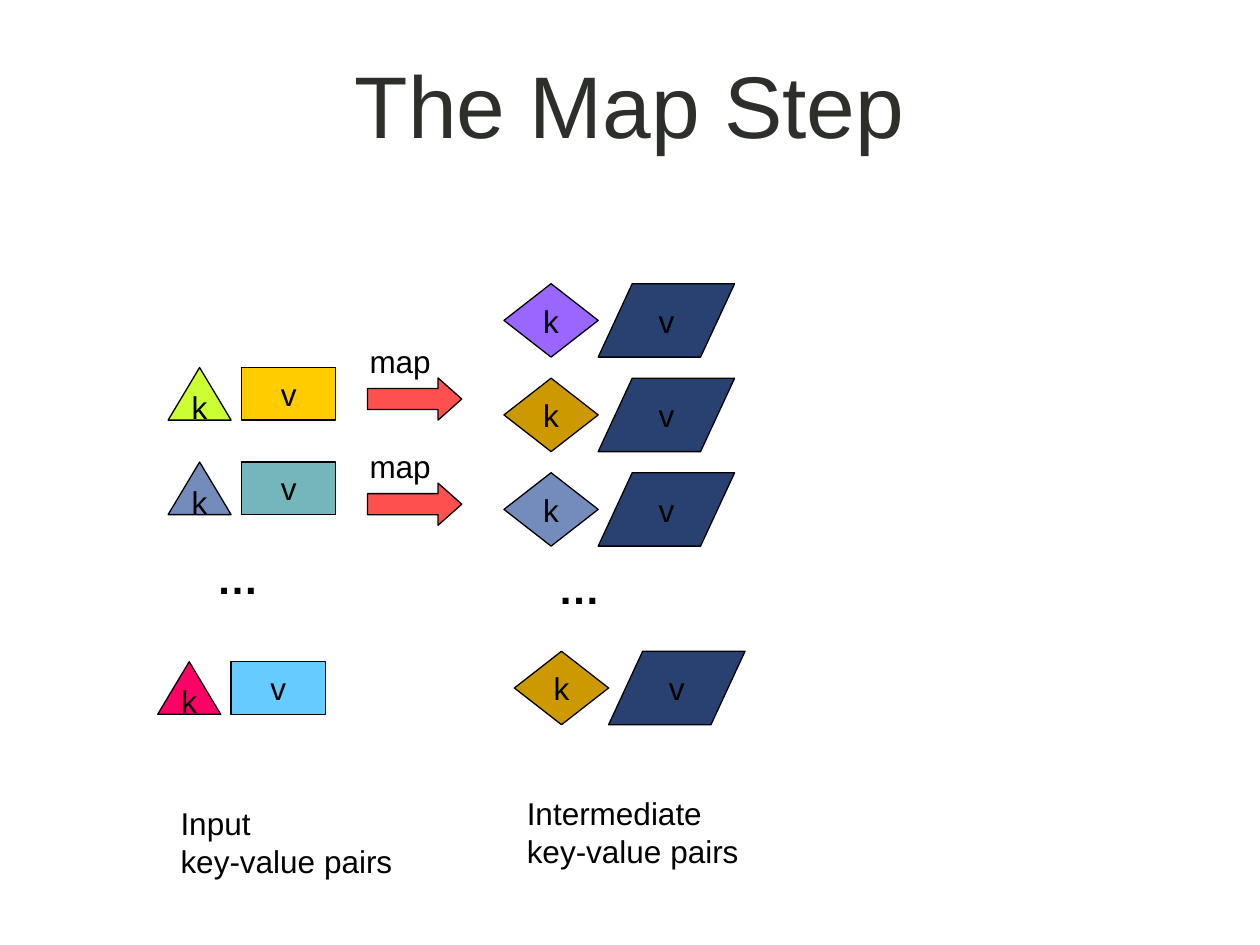
from pptx import Presentation
from pptx.dml.color import RGBColor
from pptx.enum.shapes import MSO_SHAPE as Kind
from pptx.enum.text import MSO_ANCHOR as Anchor, PP_ALIGN as Align
from pptx.util import Cm, Pt

BLACK = RGBColor(0x00, 0x00, 0x00)
INK = RGBColor(0x2D, 0x2F, 0x2B)
TEAL = RGBColor(0x74, 0xB6, 0xBC)
STEEL = RGBColor(0x74, 0x8C, 0xBC)
NAVY = RGBColor(0x29, 0x41, 0x71)
PURPLE = RGBColor(0x99, 0x66, 0xFF)
OCHRE = RGBColor(0xCC, 0x99, 0x00)
RED = RGBColor(0xFF, 0x50, 0x50)
GOLD = RGBColor(0xFF, 0xCC, 0x00)
LIME = RGBColor(0xCC, 0xFF, 0x33)
SKY = RGBColor(0x66, 0xCC, 0xFF)
PINK = RGBColor(0xFF, 0x00, 0x66)

PITCH = 1.905  # cm between stacked pairs


def write(frame, lines, size=18, color=BLACK, bold=False, align=Align.LEFT, wrap=False):
    frame.word_wrap = wrap
    for i, line in enumerate(lines):
        para = frame.paragraphs[0] if i == 0 else frame.add_paragraph()
        para.alignment = align
        run = para.add_run()
        run.text = line
        font = run.font
        font.name, font.size, font.bold = "Arial", Pt(size), bold
        font.color.rgb = color


def label(parent, box, lines, **style):
    text = parent.add_textbox(*map(Cm, box))
    write(text.text_frame, lines, **style)
    return text


def block(parent, kind, box, fill, text=None, adjust=()):
    shape = parent.add_shape(kind, *map(Cm, box))
    shape.shadow.inherit = False
    shape.fill.solid()
    shape.fill.fore_color.rgb = fill
    shape.line.color.rgb = BLACK
    shape.line.width = Pt(0.75)
    for i, value in enumerate(adjust):
        shape.adjustments[i] = value
    if text:
        shape.text_frame.vertical_anchor = Anchor.MIDDLE
        write(shape.text_frame, [text], align=Align.CENTER)


def input_pair(shapes, left, top, key, value):
    group = shapes.add_group_shape().shapes
    block(group, Kind.RECTANGLE, (left + 1.48, top, 1.9, 1.06), value, "v")
    block(group, Kind.ISOSCELES_TRIANGLE, (left, top, 1.27, 1.06), key, "k")


def mid_pair(shapes, left, top, key):
    """Place an intermediate key diamond with its value beside it."""
    group = shapes.add_group_shape().shapes
    block(group, Kind.DIAMOND, (left, top, 1.9, 1.48), key, "k")
    block(group, Kind.PARALLELOGRAM, (left + 1.9, top, 2.75, 1.48), NAVY, "v", [0.464])


def map_arrow(shapes, left, top):
    group = shapes.add_group_shape().shapes
    block(group, Kind.RIGHT_ARROW, (left + 0.21, top + 0.85, 1.9, 0.85), RED,
          adjust=[0.5, 0.562])
    label(group, (left, top, 1.9, 1.02), ["map"])


def title(shapes, box):
    text = label(shapes, box, ["The Map Step"], size=50, color=INK,
                 align=Align.CENTER, wrap=True)
    text.text_frame.vertical_anchor = Anchor.MIDDLE


def input_side(shapes, left, top):
    for row, (key, value) in enumerate([(LIME, GOLD), (STEEL, TEAL)]):
        input_pair(shapes, left, top + row * PITCH, key, value)
    label(shapes, (left + 0.73, top + 3.6, 1.4, 1.27), ["…"], size=24, bold=True)
    input_pair(shapes, left - 0.21, top + 5.93, PINK, SKY)
    label(shapes, (left, top + 8.68, 5.41, 1.78), ["Input", "key-value pairs"])


def mid_side(shapes, left, top):
    for row, key in enumerate([PURPLE, OCHRE, STEEL]):
        mid_pair(shapes, left, top + row * PITCH, key)
    label(shapes, (left + 0.84, top + 5.5, 1.4, 1.27), ["…"], size=24, bold=True)
    mid_pair(shapes, left + 0.21, top + 7.41, OCHRE)
    label(shapes, (left + 0.21, top + 10.16, 5.41, 1.78),
          ["Intermediate", "key-value pairs"])


def main():
    deck = Presentation()
    deck.slide_width, deck.slide_height = Cm(25.4), Cm(19.05)
    shapes = deck.slides.add_slide(deck.slide_layouts[6]).shapes
    title(shapes, (1.9, 0.18, 21.59, 3.81))
    input_side(shapes, 3.39, 7.41)
    for top in (6.77, 8.89):
        map_arrow(shapes, 7.2, top)
    mid_side(shapes, 10.16, 5.72)
    deck.save("out.pptx")


if __name__ == "__main__":
    main()
